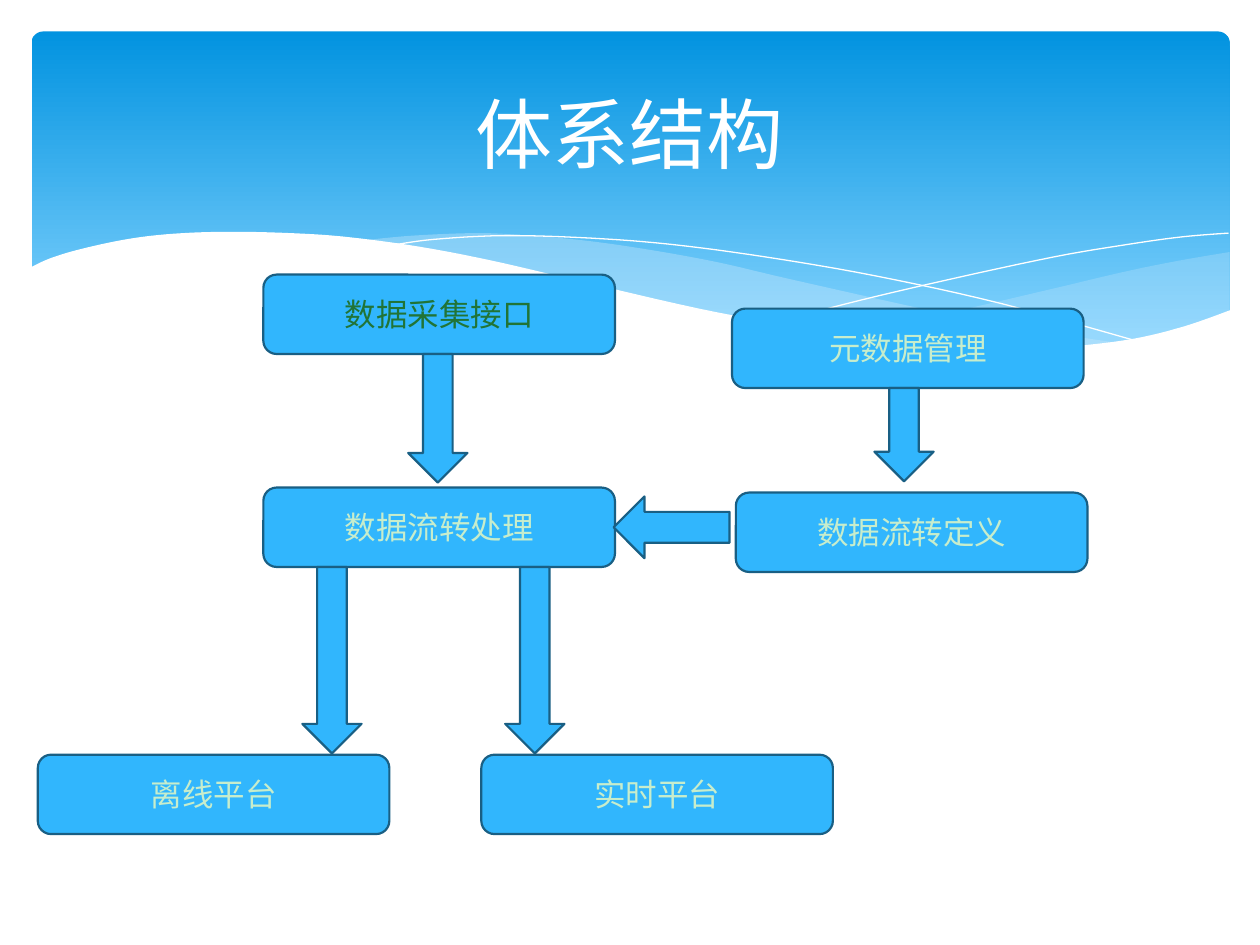
from dataclasses import dataclass

from lxml.etree import SubElement
from pptx import Presentation
from pptx.dml.color import RGBColor
from pptx.enum.shapes import MSO_SHAPE
from pptx.enum.text import MSO_ANCHOR, PP_ALIGN
from pptx.oxml.ns import qn
from pptx.util import Inches, Pt


@dataclass(frozen=True)
class Theme:
    font: str = "Cabin"
    title_size: int = 44
    label_size: int = 18
    outline_width: float = 1.25
    paper: str = "FFFFFF"
    box: str = "31B6FD"
    outline: str = "195F84"
    label: str = "C7EDCC"
    accent_label: str = "217436"
    mist: str = "C6E7FC"
    sky_top: str = "0293E0"
    sky_bottom: str = "83D3FE"


def rgb(value):
    """Turn a hex string into a colour."""
    return RGBColor.from_string(value)


def curve(points, steps=6):
    """Return a smooth run of points passing through the given ones."""
    ends = [points[0], *points, points[-1]]
    smooth = [points[0]]
    for a, b, c, d in zip(ends, ends[1:], ends[2:], ends[3:]):
        for step in range(1, steps + 1):
            t = step / steps
            smooth.append(tuple(
                (2 * q + (r - p) * t + (2 * p - 5 * q + 4 * r - s) * t ** 2
                 + (3 * q - p - 3 * r + s) * t ** 3) / 2
                for p, q, r, s in zip(a, b, c, d)))
    return smooth


class Diagram:
    """Draw the elements of one slide in one style."""

    def __init__(self, slide, theme):
        self.slide = slide
        self.theme = theme
        slide.background.fill.solid()
        slide.background.fill.fore_color.rgb = rgb(theme.paper)

    def caption(self, shape, text, size, color):
        """Put centred text into a shape."""
        frame = shape.text_frame
        frame.word_wrap = True
        frame.vertical_anchor = MSO_ANCHOR.MIDDLE
        paragraph = frame.paragraphs[0]
        paragraph.text = text
        paragraph.alignment = PP_ALIGN.CENTER
        paragraph.font.name = self.theme.font
        paragraph.font.size = Pt(size)
        paragraph.font.color.rgb = rgb(color)

    def preset(self, kind, left, top, width, height):
        """Add an outlined preset shape."""
        shape = self.slide.shapes.add_shape(
            kind, Inches(left), Inches(top), Inches(width), Inches(height))
        shape.shadow.inherit = False
        shape.fill.solid()
        shape.fill.fore_color.rgb = rgb(self.theme.box)
        shape.line.color.rgb = rgb(self.theme.outline)
        shape.line.width = Pt(self.theme.outline_width)
        return shape

    def sky(self, left, top, width, height):
        """Add the gradient header panel."""
        panel = self.preset(MSO_SHAPE.ROUNDED_RECTANGLE, left, top, width, height)
        panel.adjustments[0] = 0.034
        panel.line.fill.background()
        panel.fill.gradient()
        panel.fill.gradient_angle = 270
        colors = (self.theme.sky_top, self.theme.sky_bottom)
        for stop, position, color in zip(panel.fill.gradient_stops, (0, 0.9), colors):
            stop.position = position
            stop.color.rgb = rgb(color)

    def outline(self, points, close):
        """Add a freeform through points given in inches."""
        first, *rest = [(Inches(x), Inches(y)) for x, y in points]
        builder = self.slide.shapes.build_freeform(*first)
        builder.add_line_segments(rest, close=close)
        shape = builder.convert_to_shape()
        shape.shadow.inherit = False
        return shape

    def wave(self, points, color, opacity=100):
        """Add a filled wave."""
        shape = self.outline(points, True)
        shape.line.fill.background()
        shape.fill.solid()
        shape.fill.fore_color.rgb = rgb(color)
        if opacity < 100:
            tint = shape.element.spPr.find(".//" + qn("a:srgbClr"))
            SubElement(tint, qn("a:alpha"), val=str(opacity * 1000))

    def strand(self, points):
        """Add a hairline curve."""
        shape = self.outline(points, False)
        shape.fill.background()
        shape.line.color.rgb = rgb(self.theme.paper)
        shape.line.width = Pt(0)

    def title(self, text, left, top, width, height):
        """Add the slide title."""
        box = self.slide.shapes.add_textbox(
            Inches(left), Inches(top), Inches(width), Inches(height))
        self.caption(box, text, self.theme.title_size, self.theme.paper)

    def module(self, text, left, top, color):
        """Add a labelled module box."""
        box = self.preset(MSO_SHAPE.ROUNDED_RECTANGLE, left, top, 2.79, 0.63)
        self.caption(box, text, self.theme.label_size, color)


theme = Theme()
deck = Presentation()
deck.slide_width, deck.slide_height = Inches(10), Inches(7.5)
diagram = Diagram(deck.slides.add_slide(deck.slide_layouts[6]), theme)

diagram.sky(0.25, 0.25, 9.51, 2.7)
right_wave = (
    curve([(9.76, 2), (9.35, 2.07), (8.91, 2.16), (8.32, 2.3), (7.53, 2.48), (6.61, 2.65)])
    + curve([(6.61, 2.65), (7.05, 2.71), (7.57, 2.76), (8.14, 2.78), (8.63, 2.75),
             (9.05, 2.69), (9.42, 2.59), (9.76, 2.47)]))
middle_wave = (
    curve([(8.93, 2.73), (8.07, 2.6), (7.41, 2.47), (6.29, 2.22), (5.69, 2.08), (5.14, 1.98),
           (4.65, 1.91), (4.2, 1.87), (3.8, 1.85), (3.28, 1.87), (2.86, 1.91)])
    + curve([(2.86, 1.91), (3.42, 1.99), (4.04, 2.11), (4.91, 2.32), (5.66, 2.48),
             (6.34, 2.61), (6.95, 2.7), (7.48, 2.76), (8.07, 2.78), (8.57, 2.77), (8.93, 2.73)]))
front_wave = curve(
    [(9.77, 2.46), (9.4, 2.59), (8.99, 2.69), (8.5, 2.75), (8.09, 2.77), (7.44, 2.74),
     (6.88, 2.68), (6.26, 2.58), (5.55, 2.45), (4.47, 2.2), (3.91, 2.07), (3.4, 1.97),
     (2.92, 1.9), (2.5, 1.86), (1.93, 1.84), (1.46, 1.85), (1.06, 1.89), (0.67, 1.97),
     (0.4, 2.05), (0.23, 2.13)]) + [(0.23, 3.29), (9.77, 3.29)]
diagram.wave(right_wave, theme.mist, 29)
diagram.wave(middle_wave, theme.mist, 40)
diagram.strand(curve(
    [(3.09, 1.95), (3.44, 1.9), (4.01, 1.87), (4.69, 1.89), (5.33, 1.94), (6.08, 2.04),
     (6.95, 2.19), (7.95, 2.41), (9.07, 2.72)]))
diagram.strand(curve(
    [(6.13, 2.57), (6.72, 2.41), (7.48, 2.23), (8.36, 2.04), (8.95, 1.94), (9.38, 1.88),
     (9.75, 1.85)]))
diagram.wave(front_wave, theme.paper)
diagram.title("体系结构", 0.5, 0.37, 9, 1.37)

modules = [
    ("数据采集接口", 2.09, 2.18, theme.accent_label),
    ("元数据管理", 5.81, 2.45, theme.label),
    ("离线平台", 0.3, 5.99, theme.label),
    ("实时平台", 3.82, 5.99, theme.label),
    ("数据流转处理", 2.09, 3.87, theme.label),
    ("数据流转定义", 5.84, 3.91, theme.label),
]
for module in modules:
    diagram.module(*module)

for left, top, length in [(4.01, 4.5, 1.48), (2.4, 4.5, 1.48), (3.24, 2.81, 1.02), (6.94, 3.08, 0.74)]:
    diagram.preset(MSO_SHAPE.DOWN_ARROW, left, top, 0.47, length)
diagram.preset(MSO_SHAPE.LEFT_ARROW, 4.87, 3.94, 0.92, 0.49)

deck.save("out.pptx")
